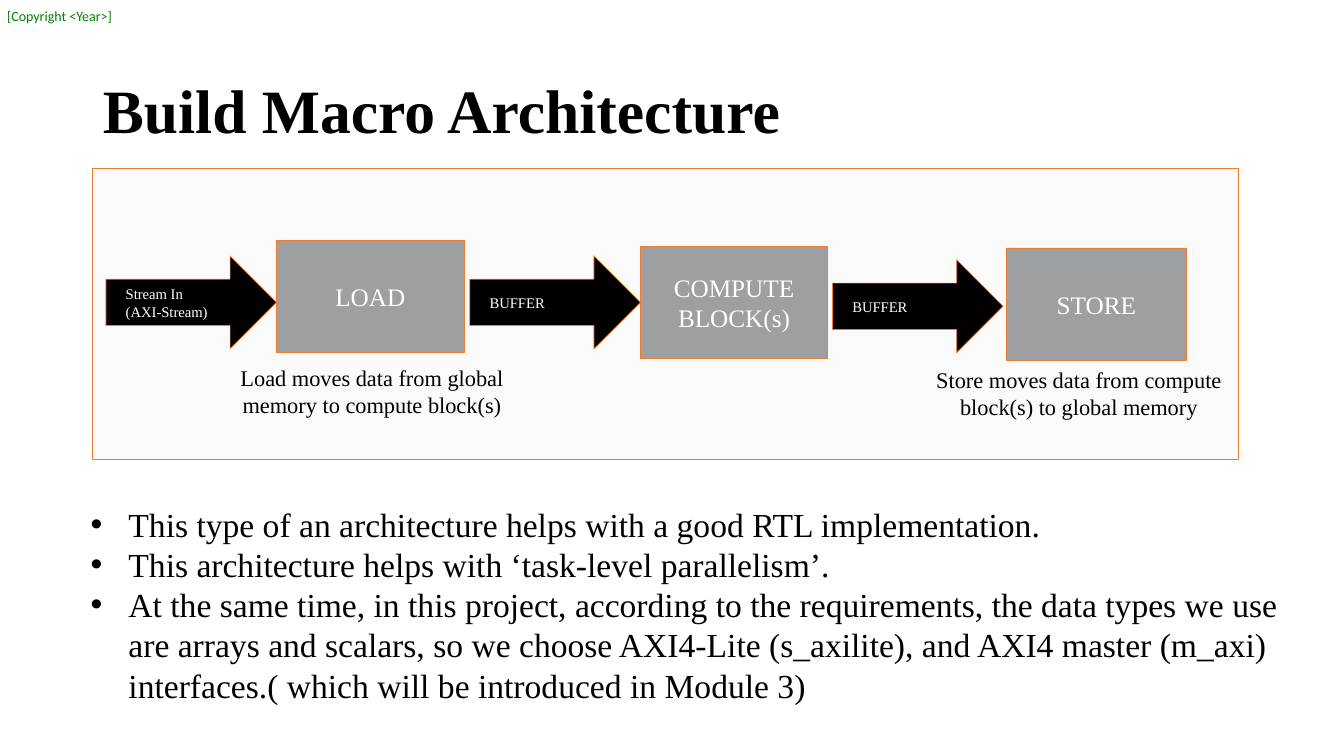
import dataclasses

import pptx
import pptx.dml.color
import pptx.enum.shapes
import pptx.enum.text
import pptx.util

Cm = pptx.util.Cm
Align = pptx.enum.text.PP_ALIGN
Anchor = pptx.enum.text.MSO_ANCHOR
Preset = pptx.enum.shapes.MSO_SHAPE


@dataclasses.dataclass(frozen=True)
class Theme:
    font: str = "Times New Roman"
    header_font: str = "Calibri"
    black: str = "000000"
    white: str = "FFFFFF"
    green: str = "008000"
    orange: str = "ED7D31"
    gray: str = "9D9FA2"
    panel: str = "FAFAFA"
    title_size: float = 44
    body_size: float = 24
    block_size: float = 18
    caption_size: float = 16
    arrow_size: float = 10.5
    header_size: float = 10
    line_width: float = 0.5


theme = Theme()


def write(text_frame, lines, size, color, alignment=Align.LEFT, font=theme.font, bold=False):
    text_frame.word_wrap = True
    text_frame.auto_size = pptx.enum.text.MSO_AUTO_SIZE.NONE
    text_frame.text = "\n".join(lines)
    for paragraph in text_frame.paragraphs:
        paragraph.alignment = alignment
        paragraph.space_before = pptx.util.Pt(0)
        paragraph.font.name = font
        paragraph.font.size = pptx.util.Pt(size)
        paragraph.font.bold = bold
        paragraph.font.color.rgb = pptx.dml.color.RGBColor.from_string(color)


def add_box(slide, preset, left, top, width, height, fill):
    shape = slide.shapes.add_shape(preset, Cm(left), Cm(top), Cm(width), Cm(height))
    shape.shadow.inherit = False
    shape.fill.solid()
    shape.fill.fore_color.rgb = pptx.dml.color.RGBColor.from_string(fill)
    shape.line.color.rgb = pptx.dml.color.RGBColor.from_string(theme.orange)
    shape.line.width = pptx.util.Pt(theme.line_width)
    text_frame = shape.text_frame
    text_frame.vertical_anchor = Anchor.MIDDLE
    text_frame.margin_left = text_frame.margin_right = Cm(0.5)
    text_frame.margin_top = text_frame.margin_bottom = Cm(0.4)
    return shape


presentation = pptx.Presentation()
presentation.slide_width = Cm(33.87)
presentation.slide_height = Cm(19.05)
slide = presentation.slides.add_slide(presentation.slide_layouts[1])

title = slide.shapes.title
title.left, title.top, title.width, title.height = Cm(2.34), Cm(1.02), Cm(29.21), Cm(3.68)
title.text_frame.vertical_anchor = Anchor.MIDDLE
write(title.text_frame, ["Build Macro Architecture"], theme.title_size, theme.black, bold=True)
title.text_frame.paragraphs[0].line_spacing = 0.9

body = slide.placeholders[1]
body.left, body.top, body.width, body.height = Cm(2.03), Cm(11.96), Cm(30.61), Cm(6.53)
body.text_frame.vertical_anchor = Anchor.MIDDLE
points = [
    "This type of an architecture helps with a good RTL implementation.",
    "This architecture helps with ‘task-level parallelism’.",
    "At the same time, in this project, according to the requirements, the data types we use "
    "are arrays and scalars, so we choose AXI4-Lite (s_axilite), and AXI4 master (m_axi) "
    "interfaces.( which will be introduced in Module 3)",
]
write(body.text_frame, points, theme.body_size, theme.black)

add_box(slide, Preset.RECTANGLE, 2.34, 4.24, 28.88, 7.34, theme.panel)

blocks = [
    ("LOAD", 6.96, 6.07, 4.75),
    ("COMPUTE BLOCK(s)", 16.15, 6.22, 4.7),
    ("STORE", 25.37, 6.25, 4.52),
]
for label, left, top, width in blocks:
    block = add_box(slide, Preset.RECTANGLE, left, top, width, 2.82, theme.gray)
    write(block.text_frame, [label], theme.block_size, theme.white, Align.CENTER)

arrows = [
    (["Stream In", "(AXI-Stream)"], 2.67, 6.45),
    (["BUFFER"], 11.84, 6.45),
    (["BUFFER"], 20.98, 6.55),
]
for lines, left, top in arrows:
    arrow = add_box(slide, Preset.RIGHT_ARROW, left, top, 4.3, 2.34, theme.black)
    write(arrow.text_frame, lines, theme.arrow_size, theme.white)

load_text = "Load moves data from global memory to compute block(s)"
store_text = "Store moves data from compute block(s) to global memory"
labels = [
    (load_text, 5.31, 9.17, 8.13, 1.75, theme.caption_size, theme.black, Align.CENTER, theme.font),
    (store_text, 22.86, 9.22, 8.66, 1.75, theme.caption_size, theme.black, Align.CENTER, theme.font),
    ("[Copyright <Year>]", 0.18, 0.18, 2.77, 0.43, theme.header_size, theme.green, Align.LEFT, theme.header_font),
]
for text, left, top, width, height, size, color, alignment, font in labels:
    label_box = slide.shapes.add_textbox(Cm(left), Cm(top), Cm(width), Cm(height))
    text_frame = label_box.text_frame
    text_frame.margin_left = text_frame.margin_right = 0
    text_frame.margin_top = text_frame.margin_bottom = 0
    write(text_frame, [text], size, color, alignment, font)

presentation.save("out.pptx")
